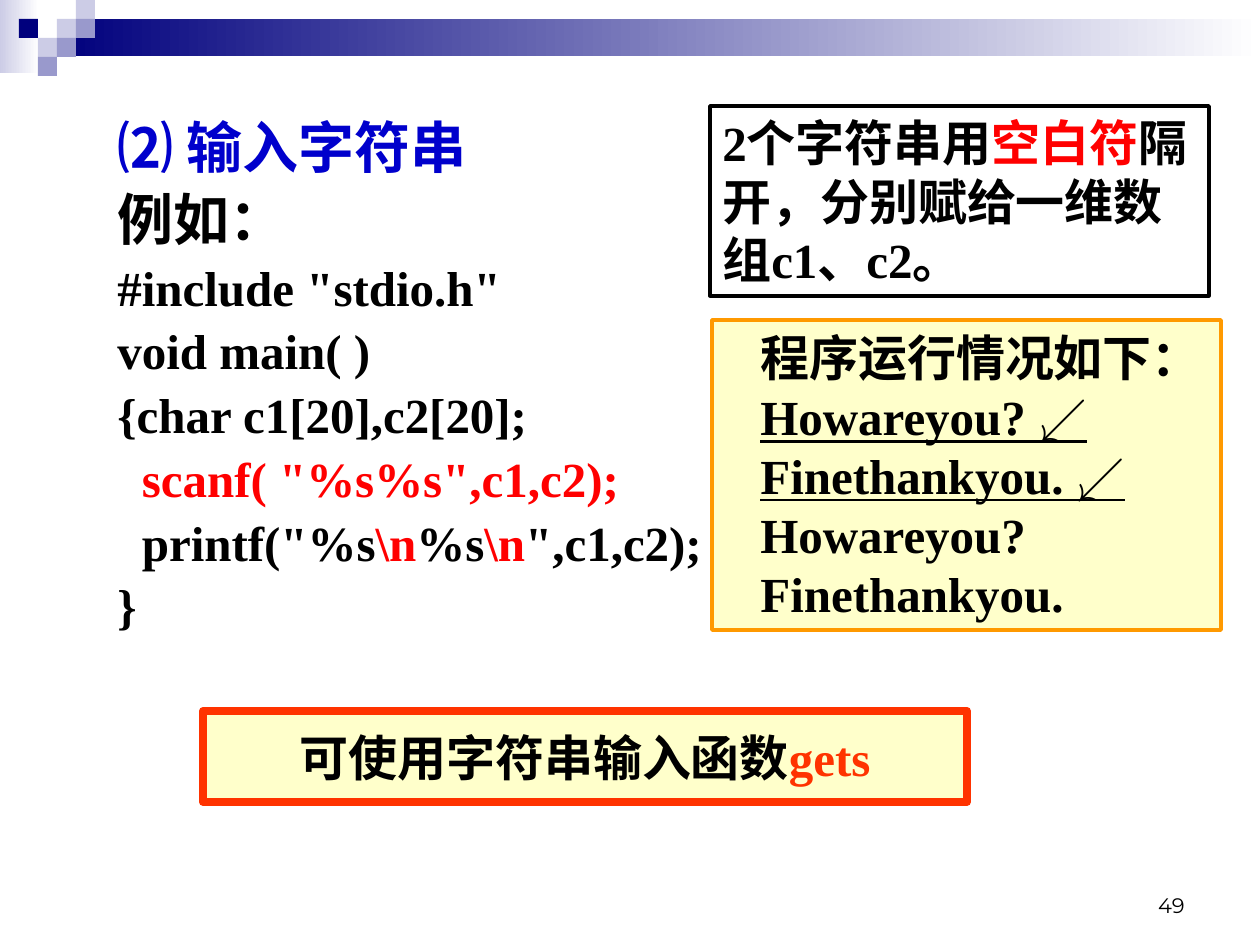
import dataclasses

import lxml.etree
import pptx
import pptx.dml.color
import pptx.enum.shapes
import pptx.enum.text
import pptx.oxml.ns
import pptx.util

ALIGN = pptx.enum.text.PP_ALIGN
ANCHOR = pptx.enum.text.MSO_ANCHOR
EMU_PER_PX = 914400 / 126


def px(n):
    return pptx.util.Emu(round(n * EMU_PER_PX))


def rgb(value):
    return pptx.dml.color.RGBColor.from_string(value)


@dataclasses.dataclass(frozen=True)
class Theme:
    font: str = "Times New Roman"
    number_font: str = "Montserrat"
    text: str = "000000"
    heading: str = "0000CC"
    red: str = "FF0000"
    navy: str = "00007D"
    mid: str = "9999CC"
    pale: str = "CCCCE6"
    white: str = "FFFFFF"
    cream: str = "FFFF99"
    orange: str = "FF9900"
    vermilion: str = "FF3300"
    heading_size: int = 32
    body_size: int = 28
    number_size: int = 12


class SlideBuilder:
    def __init__(self, slide, theme):
        self.slide = slide
        self.theme = theme

    def rect(self, x, y, w, h, fill=None, line=None, weight=2, alpha=None):
        sp = self.slide.shapes.add_shape(
            pptx.enum.shapes.MSO_SHAPE.RECTANGLE, px(x), px(y), px(w), px(h))
        sp.shadow.inherit = False
        if fill:
            sp.fill.solid()
            sp.fill.fore_color.rgb = rgb(fill)
        else:
            sp.fill.background()
        if alpha:
            clr = sp._element.spPr.find(".//" + pptx.oxml.ns.qn("a:srgbClr"))
            lxml.etree.SubElement(clr, pptx.oxml.ns.qn("a:alpha")).set(
                "val", str(alpha * 1000))
        if line:
            sp.line.color.rgb = rgb(line)
            sp.line.width = pptx.util.Pt(weight)
        else:
            sp.line.fill.background()
        return sp

    def gradient(self, x, y, w, h, start, end):
        sp = self.rect(x, y, w, h)
        sp.fill.gradient()
        sp.fill.gradient_angle = 0
        for stop, color, position in zip(sp.fill.gradient_stops, (start, end), (0, 1)):
            stop.color.rgb = rgb(color)
            stop.position = position

    def textbox(self, x, y, w, h):
        return self.slide.shapes.add_textbox(px(x), px(y), px(w), px(h))

    def add_text(self, sp, paragraphs, anchor=ANCHOR.TOP, align=ALIGN.LEFT,
                 margin=0, indent=0, gap=0):
        """Each paragraph is (size, runs); each run is (text, color, underline)."""
        tf = sp.text_frame
        tf.word_wrap = True
        tf.vertical_anchor = anchor
        for i, (size, runs) in enumerate(paragraphs):
            p = tf.add_paragraph() if i else tf.paragraphs[0]
            p.alignment = align
            p.space_before = pptx.util.Pt(size * gap if i else 0)
            pPr = p._p.get_or_add_pPr()
            pPr.set("marL", str(px(margin)))
            pPr.set("indent", str(px(indent)))
            for text, color, underline in runs:
                r = p.add_run()
                r.text = text
                self.style(r.font, size, color)
                r.font.underline = underline

    def style(self, font, size, color):
        font.name = self.theme.font
        font.size = pptx.util.Pt(size)
        font.bold = True
        font.color.rgb = rgb(color)

    def page_number(self, x, y, w, h, text):
        sp = self.textbox(x, y, w, h)
        self.add_text(sp, [(self.theme.number_size, [(text, self.theme.text, False)])],
                      anchor=ANCHOR.BOTTOM, align=ALIGN.RIGHT)
        font = sp.text_frame.paragraphs[0].runs[0].font
        font.name = self.theme.number_font
        font.bold = False


def main():
    theme = Theme()
    prs = pptx.Presentation()
    prs.slide_width, prs.slide_height = px(1260), px(945)
    s = SlideBuilder(prs.slides.add_slide(prs.slide_layouts[6]), theme)

    def black(text, underline=False):
        return text, theme.text, underline

    def red(text):
        return text, theme.red, False

    def lines(*paragraphs):
        return [(theme.body_size, runs) for runs in paragraphs]

    # Header band and mosaic of squares
    s.gradient(0, 0, 39, 73, theme.pale, theme.white)
    s.gradient(57, 19, 1203, 37, theme.navy, theme.white)
    cell = 19
    for col, row, color in [(3, 1, theme.pale), (4, 0, theme.pale),
                            (4, 1, theme.mid), (2, 2, theme.pale),
                            (1, 1, theme.navy), (3, 2, theme.mid),
                            (2, 3, theme.mid)]:
        s.rect(col * cell, row * cell, cell, cell, color)

    s.page_number(1116, 861, 81, 63, "49")

    # Heading and program listing
    code = lines(
        [black('#include "stdio.h"')],
        [black("void main( )")],
        [black("{char c1[20],c2[20];")],
        [black("  "), red('scanf( "%s%s",c1,c2);')],
        [black('  printf("%s'), red("\\n"), black("%s"), red("\\n"),
         black('",c1,c2);')],
        [black("}")])
    heading = [(theme.heading_size, [("⑵ 输入字符串", theme.heading, False)]),
               (theme.heading_size, [black("例如：")])]
    s.add_text(s.textbox(105, 106, 1092, 605), heading + code,
               margin=48, indent=-48, gap=0.1)

    # Note on separators
    note = s.rect(710, 106, 499, 190, line=theme.text)
    s.add_text(note, lines([black("2个字符串用"), red("空白符"),
                            black("隔开，分别赋给一维数组c1、c2。")]))

    # Hint about gets
    hint = s.rect(203, 711, 764, 91, theme.cream, theme.vermilion, 4.5, alpha=50)
    s.add_text(hint, lines([black("可使用字符串输入函数"),
                            ("gets", theme.vermilion, False)]),
               anchor=ANCHOR.MIDDLE, align=ALIGN.CENTER)

    # Program run
    run = s.rect(712, 320, 509, 310, theme.cream, theme.orange, alpha=50)
    s.add_text(run, lines([black("程序运行情况如下：")],
                          [black("Howareyou? ↙", True)],
                          [black("Finethankyou. ↙", True)],
                          [black("Howareyou?")],
                          [black("Finethankyou.")]),
               anchor=ANCHOR.MIDDLE, indent=36)

    prs.save("out.pptx")


if __name__ == "__main__":
    main()
